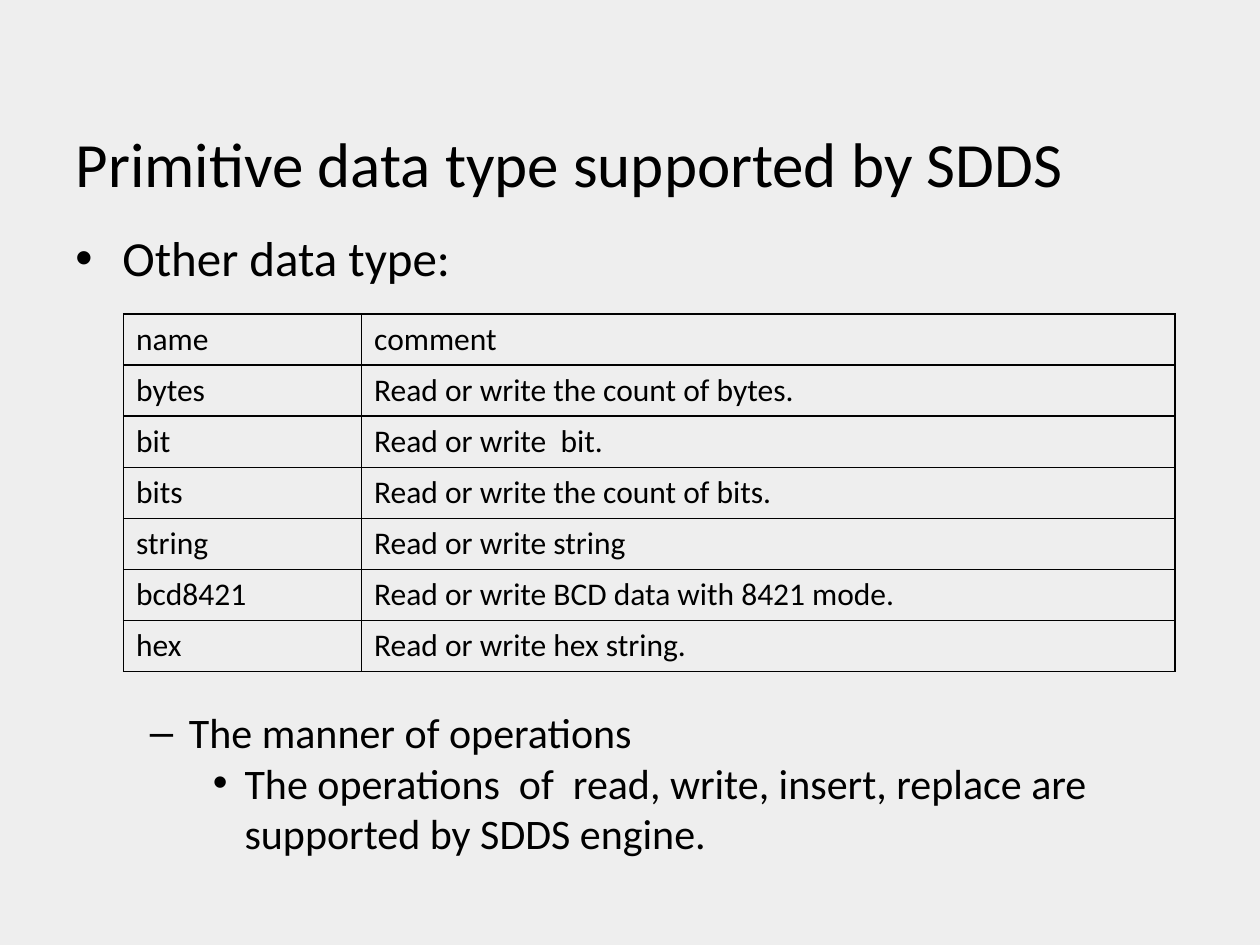
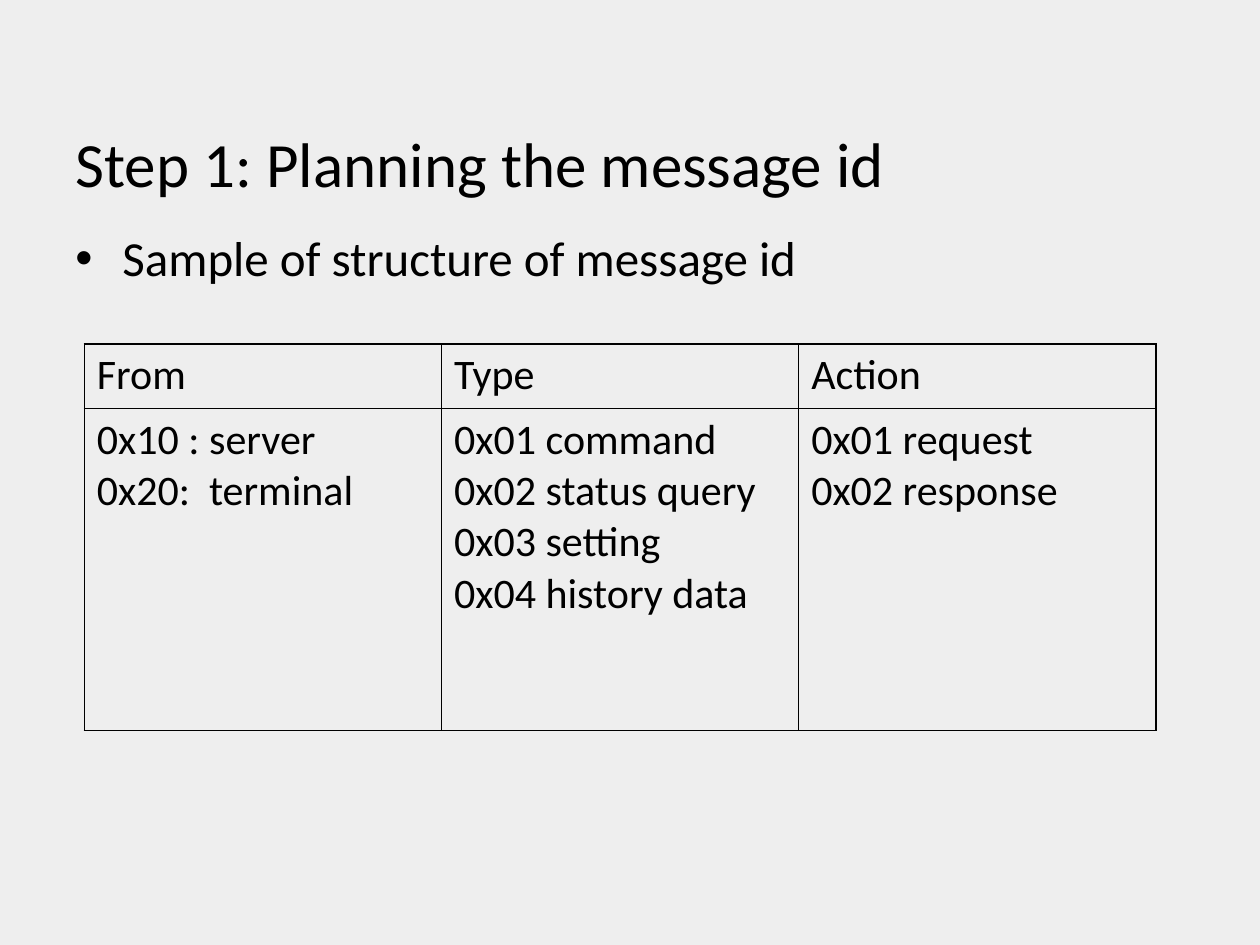
from dataclasses import dataclass

from lxml import etree
from pptx import Presentation
from pptx.dml.color import RGBColor
from pptx.enum.text import MSO_ANCHOR, PP_ALIGN
from pptx.oxml.ns import qn
from pptx.util import Cm, Pt

LEFT = PP_ALIGN.LEFT
TOP, BOTTOM = MSO_ANCHOR.TOP, MSO_ANCHOR.BOTTOM
TITLE_ONLY = 5
BORDER_SIDES = ("a:lnL", "a:lnR", "a:lnT", "a:lnB")


@dataclass(frozen=True)
class Theme:
    font: str = "Calibri"
    bullet_font: str = "Arial"
    background: str = "EEEEEE"
    ink: str = "000000"
    title_size: int = 36
    lead_size: int = 28
    body_size: int = 24
    small_size: int = 18
    border_width: float = 1


THEME = Theme()

# Bullet levels: character, text margin and hanging indent in cm
BULLETS = (("•", 0.95, 0.95), ("–", 2.06, 0.79), ("•", 3.18, 0.64))

DATA_TYPES = (
    ("name", "comment"),
    ("bytes", "Read or write the count of bytes."),
    ("bit", "Read or write  bit."),
    ("bits", "Read or write the count of bits."),
    ("string", "Read or write string"),
    ("bcd8421", "Read or write BCD data with 8421 mode."),
    ("hex", "Read or write hex string."),
)

MESSAGE_ID = (
    ("From", "Type", "Action"),
    (
        "0x10 : server\n0x20:  terminal",
        "0x01 command\n0x02 status query\n0x03 setting\n0x04 history data",
        "0x01 request\n0x02 response",
    ),
)


# Text
def set_bullet(paragraph, level):
    character, margin, hanging = BULLETS[level]
    paragraph.level = level
    properties = paragraph._p.get_or_add_pPr()
    properties.set("marL", str(Cm(margin)))
    properties.set("indent", str(-Cm(hanging)))
    font = etree.SubElement(properties, qn("a:buFont"))
    font.set("typeface", THEME.bullet_font)
    etree.SubElement(properties, qn("a:buChar")).set("char", character)


def write_text(frame, text, size=THEME.body_size, anchor=TOP, levels=()):
    """Write one paragraph a line; levels gives the bullet level of each."""
    frame.word_wrap = True
    frame.vertical_anchor = anchor
    frame.text = text
    for paragraph in frame.paragraphs:
        paragraph.alignment = LEFT
        font = paragraph.runs[0].font
        font.name = THEME.font
        font.size = Pt(size)
        font.bold = False
        font.color.rgb = RGBColor.from_string(THEME.ink)
    for paragraph, level in zip(frame.paragraphs, levels):
        set_bullet(paragraph, level)


def add_bullets(slide, text, left, top, height, **text_format):
    box = slide.shapes.add_textbox(Cm(left), Cm(top), Cm(22.86), Cm(height))
    write_text(box.text_frame, text, **text_format)


# Tables
def draw_borders(cell):
    properties = cell._tc.get_or_add_tcPr()
    for side in BORDER_SIDES:
        line = etree.SubElement(properties, qn(side))
        line.set("w", str(Pt(THEME.border_width)))
        fill = etree.SubElement(line, qn("a:solidFill"))
        etree.SubElement(fill, qn("a:srgbClr")).set("val", THEME.ink)


def add_grid(slide, rows, left, top, widths, heights, size):
    table = slide.shapes.add_table(
        len(rows), len(widths), Cm(left), Cm(top),
        Cm(sum(widths)), Cm(sum(heights)),
    ).table
    table.first_row = table.horz_banding = False
    for column, width in zip(table.columns, widths):
        column.width = Cm(width)
    for row, height, texts in zip(table.rows, heights, rows):
        row.height = Cm(height)
        for cell, text in zip(row.cells, texts):
            write_text(cell.text_frame, text, size=size)
            draw_borders(cell)
            cell.fill.background()


# Slide frame: title and lead bullet
def add_content_slide(presentation, title_text, lead_text):
    layout = presentation.slide_layouts[TITLE_ONLY]
    slide = presentation.slides.add_slide(layout)
    title = slide.shapes.title
    title.left, title.top = Cm(1.27), Cm(0.99)
    title.width, title.height = Cm(22.86), Cm(3.18)
    write_text(title.text_frame, title_text,
               size=THEME.title_size, anchor=BOTTOM)
    add_bullets(slide, lead_text, 1.27, 4.47, 1.47,
                size=THEME.lead_size, levels=(0,))
    return slide


def add_data_type_slide(presentation):
    slide = add_content_slide(
        presentation, "Primitive data type supported by SDDS",
        "Other data type:")
    add_grid(slide, DATA_TYPES, 2.49, 6.33, widths=(4.8, 16.4),
             heights=[1.03] * len(DATA_TYPES), size=THEME.small_size)
    add_bullets(
        slide,
        "The manner of operations\n"
        "The operations  of  read, write, insert, replace are "
        "supported by SDDS engine.",
        1.5, 14.12, 3.2, levels=(1, 2))


def add_message_id_slide(presentation):
    slide = add_content_slide(
        presentation, "Step 1: Planning the message id",
        "Sample of structure of message id")
    add_grid(slide, MESSAGE_ID, 1.7, 6.93, widths=[7.2] * 3,
             heights=(1.3, 6.5), size=THEME.body_size)


def main():
    presentation = Presentation()
    presentation.slide_width, presentation.slide_height = Cm(25.4), Cm(19.05)
    background = presentation.slide_master.background.fill
    background.solid()
    background.fore_color.rgb = RGBColor.from_string(THEME.background)
    add_data_type_slide(presentation)
    add_message_id_slide(presentation)
    presentation.save("out.pptx")


main()
